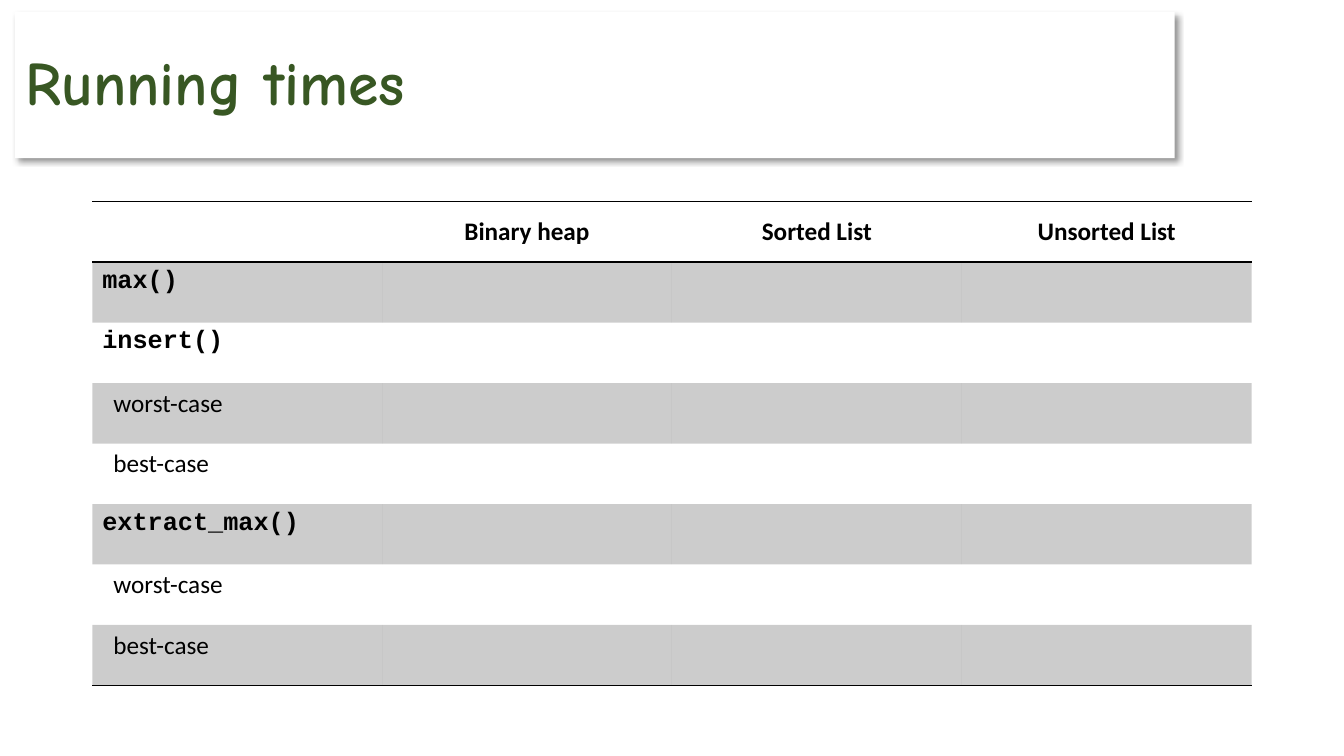
from lxml.etree import SubElement
from pptx import Presentation
from pptx.dml.color import RGBColor
from pptx.enum.text import MSO_ANCHOR, MSO_AUTO_SIZE, PP_ALIGN
from pptx.oxml import parse_xml
from pptx.oxml.ns import nsdecls, qn
from pptx.util import Inches, Pt

INK, GREEN, WHITE = "000000", "385723", "FFFFFF"
NO_GRID_STYLE = "{2D5ABB26-0587-4C30-8999-92F81FD0307C}"
HEADINGS = ["", "Binary heap", "Sorted List", "Unsorted List"]
CASES = ["worst-case", "best-case"]
OPERATIONS = [("max()", []), ("insert()", CASES), ("extract_max()", CASES)]
CONTENT_WIDTH, ROW_HEIGHT = 11.5, 0.6
CASE_INDENT = 0.21

HEADING = {"name": "Calibri", "size": Pt(18), "bold": True}
METHOD = {**HEADING, "name": "Courier New"}
CASE = {**HEADING, "bold": False}
TITLE = {"name": "Comic Neue", "size": Pt(44), "bold": True}


def rgb(code):
    return RGBColor.from_string(code)


def write(frame, text, style, color=INK, align=PP_ALIGN.LEFT):
    frame.text = text
    paragraph = frame.paragraphs[0]
    paragraph.alignment = align
    for name, value in style.items():
        setattr(paragraph.font, name, value)
    paragraph.font.color.rgb = rgb(color)
    return paragraph


def add_shadow(shape):
    shape._element.spPr.append(parse_xml(
        f'<a:effectLst {nsdecls("a")}>'
        f'<a:outerShdw blurRad="{Pt(4)}" dist="{Pt(3)}" dir="2700000" algn="tl" rotWithShape="0">'
        f'<a:srgbClr val="{INK}"><a:alpha val="40000"/></a:srgbClr>'
        '</a:outerShdw></a:effectLst>'))


def add_rule(cell, side):
    """Draw a thin line on the cell's top (T) or bottom (B) edge."""
    cell._tc.get_or_add_tcPr().append(parse_xml(
        f'<a:ln{side} {nsdecls("a")} w="{Pt(1)}"><a:solidFill>'
        f'<a:srgbClr val="{INK}"/></a:solidFill></a:ln{side}>'))


def shade(cell):
    """Fill the cell with translucent ink."""
    cell.fill.solid()
    cell.fill.fore_color.rgb = rgb(INK)
    ink = cell._tc.tcPr.find(f'{qn("a:solidFill")}/{qn("a:srgbClr")}')
    SubElement(ink, qn("a:alpha"), val="20000")


def add_title(slide, text):
    title = slide.shapes.title
    title.left, title.top = Inches(0.15), Inches(0.12)
    title.width, title.height = Inches(CONTENT_WIDTH), Inches(1.45)
    title.fill.solid()
    title.fill.fore_color.rgb = rgb(WHITE)
    add_shadow(title)
    frame = title.text_frame
    frame.auto_size = MSO_AUTO_SIZE.NONE
    frame.vertical_anchor = MSO_ANCHOR.MIDDLE
    write(frame, text, TITLE, GREEN).line_spacing = 0.9


def add_running_times(slide, slide_width):
    labels = []
    for method, cases in OPERATIONS:
        labels.append((method, METHOD))
        labels += [(case, CASE) for case in cases]
    row_count = len(labels) + 1
    width = Inches(CONTENT_WIDTH)
    table = slide.shapes.add_table(
        row_count, len(HEADINGS), (slide_width - width) // 2, Inches(2),
        width, Inches(ROW_HEIGHT * row_count)).table
    table._tbl.tblPr.find(qn("a:tableStyleId")).text = NO_GRID_STYLE

    for column, heading in enumerate(HEADINGS):
        cell = table.cell(0, column)
        cell.vertical_anchor = MSO_ANCHOR.MIDDLE
        write(cell.text_frame, heading, HEADING, align=PP_ALIGN.CENTER)
        add_rule(cell, "T")
        add_rule(cell, "B")
        add_rule(table.cell(row_count - 1, column), "B")

    for row, (label, style) in enumerate(labels, start=1):
        first = table.cell(row, 0)
        write(first.text_frame, label, style)
        if style is CASE:
            first.margin_left = Inches(CASE_INDENT)
        for cell in table.rows[row].cells:
            if row % 2:
                shade(cell)
            else:
                cell.fill.background()


def main():
    deck = Presentation()
    deck.slide_width, deck.slide_height = Inches(13.33), Inches(7.5)
    slide = deck.slides.add_slide(deck.slide_layouts[5])
    add_title(slide, "Running times")
    add_running_times(slide, deck.slide_width)
    deck.save("out.pptx")


if __name__ == "__main__":
    main()
